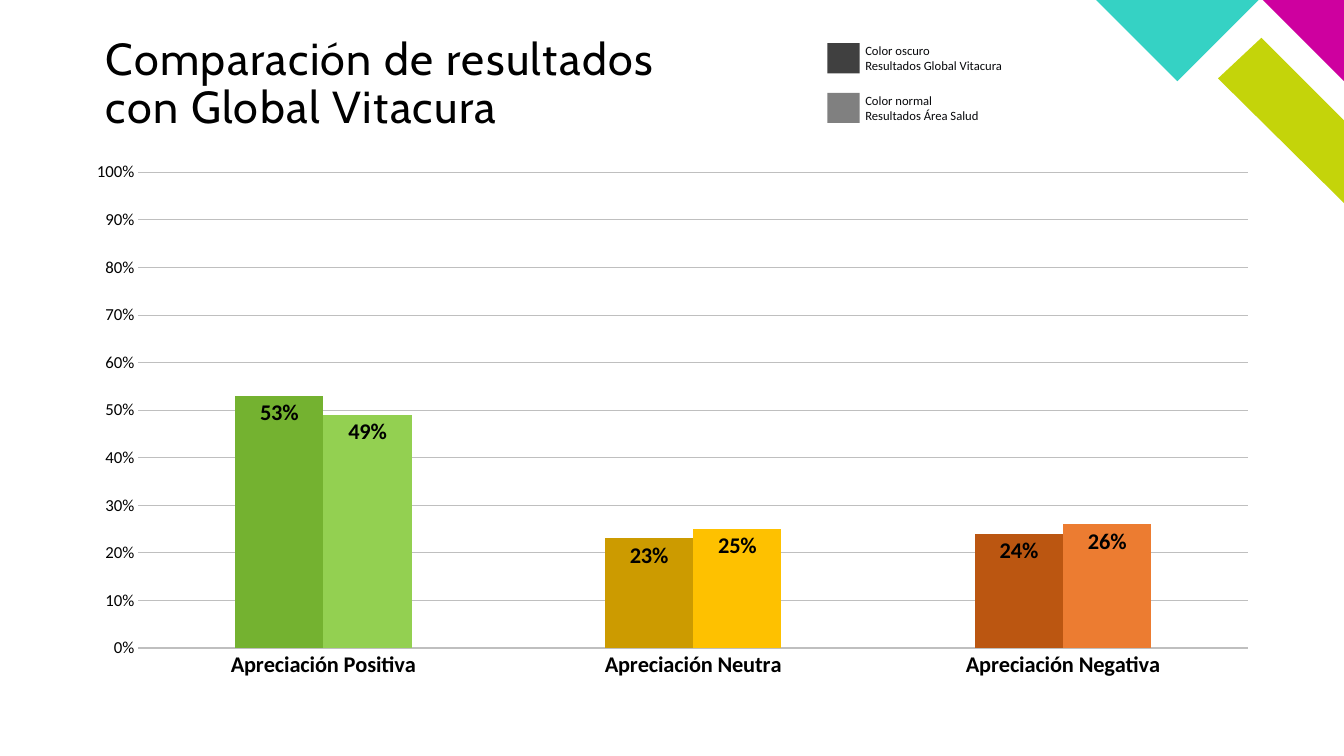
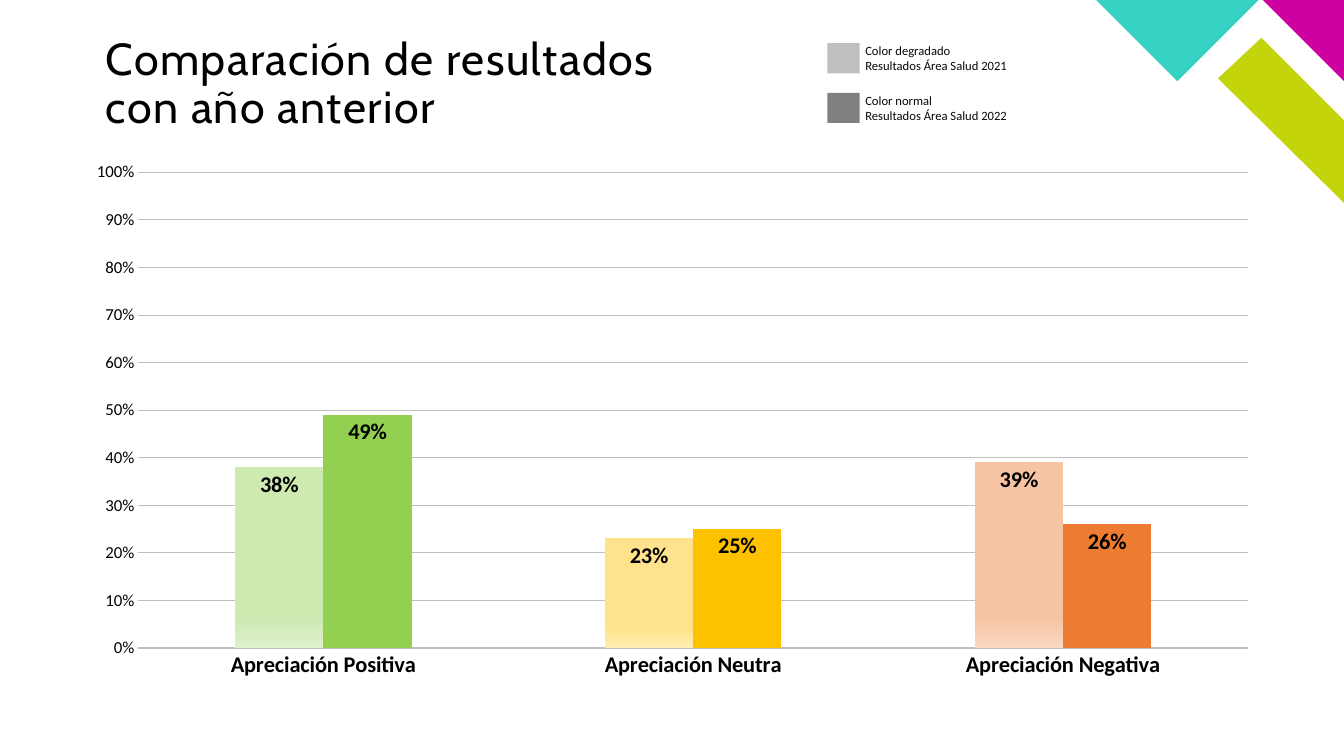
from lxml.etree import SubElement
from pptx import Presentation
from pptx.chart.data import CategoryChartData
from pptx.dml.color import RGBColor
from pptx.enum.chart import XL_CHART_TYPE, XL_LABEL_POSITION, XL_TICK_MARK
from pptx.enum.shapes import MSO_SHAPE
from pptx.enum.text import MSO_ANCHOR, MSO_AUTO_SIZE, PP_ALIGN
from pptx.oxml.ns import qn
from pptx.util import Pt

BLACK, LEGEND_TEXT, GRID = "000000", "07080B", "BFBFBF"
TURQUOISE, MAGENTA, LIME = "35D2C4", "CE009F", "C4D40A"
DARK_GREY, MID_GREY, LIGHT_GREY = "404040", "808080", "BFBFBF"

CORNER_SHAPES = [
    (LIME, [(960, 144.7), (960, 85.5), (900.7, 26.7), (870.5, 56.3)]),
    (MAGENTA, [(960, 57.6), (960, 0), (902, 0)]),
    (TURQUOISE, [(782.6, 0), (841, 57.6), (899.3, 0)]),
]
CATEGORIES = ["Apreciación Positiva", "Apreciación Neutra", "Apreciación Negativa"]
NORMAL = ["93D051", "FEC100", "EC7C31"]
DARK = ["74B230", "CC9B00", "BB5611"]
FADED = [("CEEAB1", "DFF1CB"), ("FFE38C", "FFEDB2"), ("F6C4A2", "F9D8C1")]
PLOT_AREA = {"x": 0.055, "y": 0.039, "w": 0.925, "h": 0.884}

# Each comparison: title, legend entries, values and bar colours of the series
COMPARISONS = [
    (
        "Comparación de resultados con Global Vitacura",
        [(DARK_GREY, ["Color oscuro", "Resultados Global Vitacura"]),
         (MID_GREY, ["Color normal", "Resultados Área Salud"])],
        [([0.53, 0.23, 0.24], DARK), ([0.49, 0.25, 0.26], NORMAL)],
    ),
    (
        "Comparación de resultados con año anterior",
        [(LIGHT_GREY, ["Color degradado", "Resultados Área Salud 2021"]),
         (MID_GREY, ["Color normal", "Resultados Área Salud 2022"])],
        [([0.38, 0.23, 0.39], FADED), ([0.49, 0.25, 0.26], NORMAL)],
    ),
]


def rgb(value):
    return RGBColor.from_string(value)


def paint(fill, color):
    """Fill with one colour, or fade a (top, bottom) pair near the bottom."""
    if isinstance(color, str):
        fill.solid()
        fill.fore_color.rgb = rgb(color)
        return
    fill.gradient()
    fill.gradient_angle = 270
    for stop, stop_color, position in zip(fill.gradient_stops, color, (0.83, 1)):
        stop.color.rgb = rgb(stop_color)
        stop.position = position


def style_font(font, size, color=BLACK, bold=False, name="Calibri"):
    font.name = name
    font.size = Pt(size)
    font.bold = bold
    font.color.rgb = rgb(color)


def style_line(line, color, width):
    line.color.rgb = rgb(color)
    line.width = Pt(width)


def place_plot_area(chart):
    """Fix the inner plot area, in fractions of the chart frame."""
    plot_area = chart.element.find(".//" + qn("c:plotArea"))
    for layout in plot_area.findall(qn("c:layout")):
        plot_area.remove(layout)
    layout = SubElement(plot_area, qn("c:layout"))
    plot_area.insert(0, layout)
    manual = SubElement(layout, qn("c:manualLayout"))
    settings = {"layoutTarget": "inner", "xMode": "edge", "yMode": "edge", **PLOT_AREA}
    for tag, value in settings.items():
        SubElement(manual, qn("c:" + tag)).set("val", str(value))


class Deck:
    def __init__(self):
        self.presentation = Presentation()
        self.presentation.slide_width = Pt(960)
        self.presentation.slide_height = Pt(540)
        self.layout = self.presentation.slide_layouts[5]
        self.slide = None

    def add_slide(self, title):
        self.slide = self.presentation.slides.add_slide(self.layout)
        shape = self.slide.shapes.title
        shape.left, shape.top, shape.width, shape.height = Pt(75.6), Pt(26), Pt(426), Pt(82)
        frame = shape.text_frame
        frame.text = title
        frame.word_wrap = True
        frame.auto_size = MSO_AUTO_SIZE.NONE
        frame.vertical_anchor = MSO_ANCHOR.TOP
        frame.margin_left = frame.margin_right = frame.margin_top = frame.margin_bottom = 0
        paragraph = frame.paragraphs[0]
        paragraph.alignment = PP_ALIGN.LEFT
        paragraph.line_spacing = 0.9
        style_font(paragraph.font, 32, name="Cabin")
        paragraph.runs[0]._r.get_or_add_rPr().set("spc", "100")

    def add_corner(self):
        """Draw the corner shapes and move them to the shared layout."""
        for color, points in CORNER_SHAPES:
            builder = self.slide.shapes.build_freeform(*points[0], scale=Pt(1))
            builder.add_line_segments(points[1:], close=True)
            shape = builder.convert_to_shape()
            self.finish(shape, color)
            self.layout.shapes.element.append(shape.element)

    def finish(self, shape, color):
        shape.shadow.inherit = False
        paint(shape.fill, color)
        shape.line.fill.background()

    def add_legend_entry(self, top, color, lines):
        swatch = self.slide.shapes.add_shape(
            MSO_SHAPE.RECTANGLE, Pt(591), Pt(top), Pt(23), Pt(21.6))
        self.finish(swatch, color)
        box = self.slide.shapes.add_textbox(Pt(611), Pt(top - 3.6), Pt(230), Pt(29))
        frame = box.text_frame
        frame.word_wrap = True
        frame.text = "\n".join(lines)
        for paragraph in frame.paragraphs:
            style_font(paragraph.font, 9, LEGEND_TEXT)

    def add_column_chart(self, series_list):
        data = CategoryChartData(number_format="0%")
        data.categories = CATEGORIES
        for number, (values, _) in enumerate(series_list, 1):
            data.add_series(f"Series {number}", values)
        chart = self.slide.shapes.add_chart(
            XL_CHART_TYPE.COLUMN_CLUSTERED, Pt(51.8), Pt(108), Pt(856.8), Pt(384.5), data).chart
        chart.has_title = chart.has_legend = False
        style_font(chart.font, 10)
        place_plot_area(chart)
        self.style_axes(chart)
        plot = chart.plots[0]
        plot.gap_width, plot.overlap = 219, 0
        plot.vary_by_categories = False
        for series, (_, colors) in zip(plot.series, series_list):
            series.invert_if_negative = False
            for index, color in enumerate(colors):
                paint(series.points[index].format.fill, color)
            labels = series.data_labels
            labels.show_value = True
            labels.position = XL_LABEL_POSITION.INSIDE_END
            labels.number_format = "0%"
            labels.number_format_is_linked = False
            style_font(labels.font, 16, bold=True)

    def style_axes(self, chart):
        category, value = chart.category_axis, chart.value_axis
        for axis in (category, value):
            axis.major_tick_mark = axis.minor_tick_mark = XL_TICK_MARK.NONE
        style_font(category.tick_labels.font, 16, bold=True)
        style_line(category.format.line, GRID, 0.75)
        value.minimum_scale, value.maximum_scale, value.major_unit = 0, 1, 0.1
        value.tick_labels.number_format = "0%"
        value.tick_labels.number_format_is_linked = False
        style_font(value.tick_labels.font, 12)
        value.format.line.fill.background()
        style_line(value.major_gridlines.format.line, GRID, 0.5)


def main():
    deck = Deck()
    for number, (title, legend, series_list) in enumerate(COMPARISONS):
        deck.add_slide(title)
        if number == 0:
            deck.add_corner()
        deck.add_column_chart(series_list)
        for row, (color, lines) in enumerate(legend):
            deck.add_legend_entry(30.8 + row * 35.5, color, lines)
    deck.presentation.save("out.pptx")


if __name__ == "__main__":
    main()
